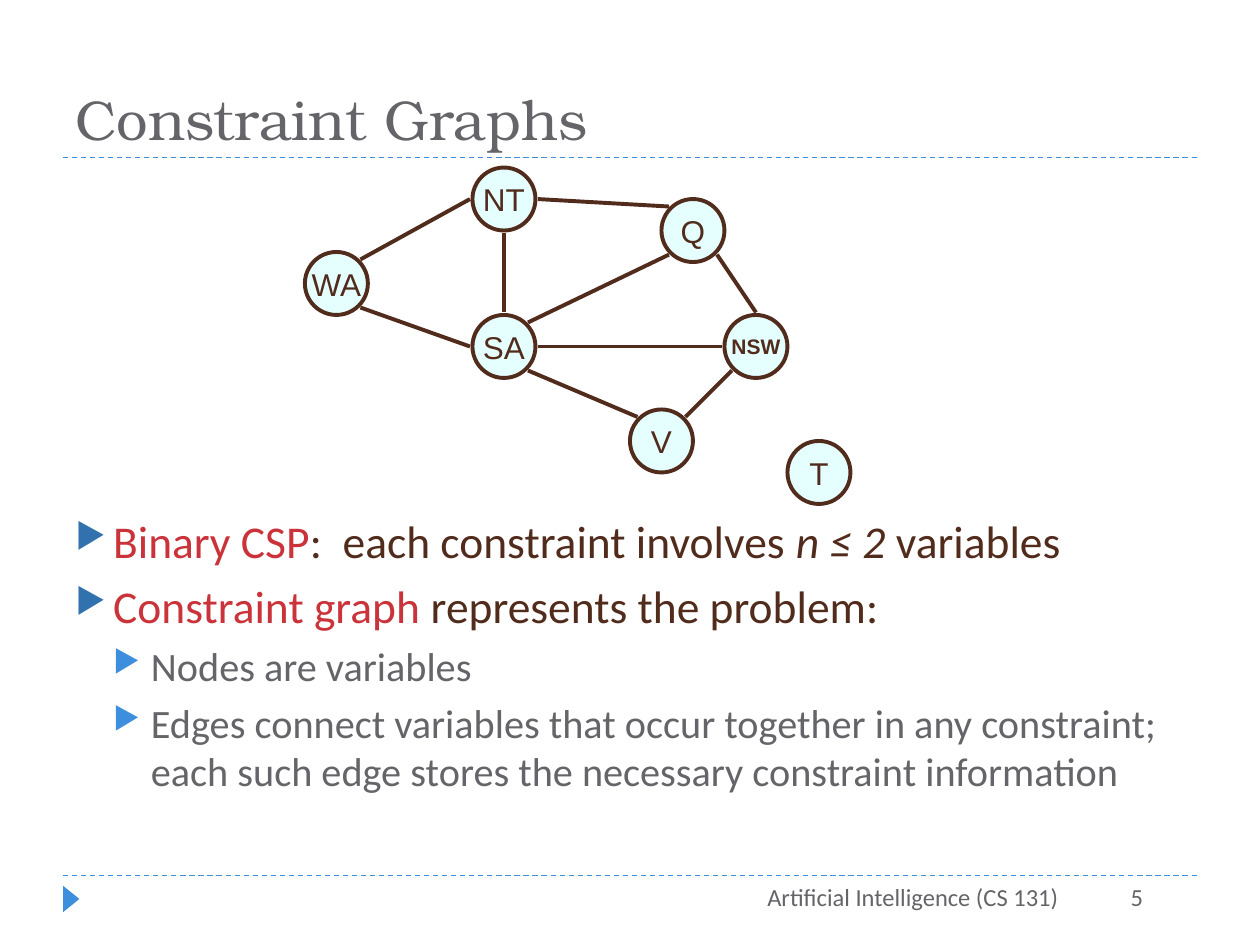
from math import cos, radians, sin

from lxml.etree import SubElement
from pptx import Presentation
from pptx.dml.color import RGBColor
from pptx.enum.dml import MSO_LINE_DASH_STYLE as Dash
from pptx.enum.shapes import MSO_CONNECTOR as Connector, MSO_SHAPE as Shape
from pptx.enum.text import MSO_ANCHOR as Anchor, PP_ALIGN as Align
from pptx.oxml.ns import qn
from pptx.util import Inches, Pt

BROWN, RED, GRAY = "512C1D", "CB333B", "646469"
BLUE, DARK_BLUE, PALE = "3E8EDE", "3071AE", "E5FFFF"

TITLE = "Constraint Graphs"
FOOTER = "Artificial Intelligence (CS 131)"
PAGE_NUMBER = "5"
RULES_Y = (6.95, 1.25)

DIAMETER = 0.5
EDGE_GAP = 0.02
NODES = {
    "WA": (2.67, 2.25),
    "SA": (4, 2.75),
    "NT": (4, 1.58),
    "NSW": (6, 2.75),
    "V": (5.25, 3.5),
    "Q": (5.5, 1.83),
    "T": (6.5, 3.75),
}
SMALL_LABELS = {"NSW"}
ANGLES = {"E": 0, "SE": 45, "S": 90, "SW": 135, "W": 180, "NW": 225, "N": 270, "NE": 315}
EDGES = [
    ("WA", "NE", "NT", "W"),
    ("NT", "E", "Q", "NW"),
    ("WA", "SE", "SA", "W"),
    ("SA", "SE", "V", "NW"),
    ("SA", "E", "NSW", "W"),
    ("Q", "SE", "NSW", "N"),
    ("Q", "SW", "SA", "NE"),
    ("NT", "S", "SA", "N"),
    ("NSW", "SW", "V", "NE"),
]

LEVELS = [
    {"size": 26, "before": 6, "bullet": DARK_BLUE},
    {"size": 23, "before": 5, "bullet": BLUE},
]
POINTS = [
    (0, [("Binary CSP", RED, False), (":  each constraint involves ", BROWN, False),
         ("n ≤ 2 ", BROWN, True), ("variables", BROWN, False)]),
    (0, [("Constraint graph ", RED, False), ("represents the problem:", BROWN, False)]),
    (1, [("Nodes are variables", GRAY, False)]),
    (1, [("Edges connect variables that occur together in any constraint; "
          "each such edge stores the necessary constraint information", GRAY, False)]),
]


def color(value):
    """Turn a hex string into a colour."""
    return RGBColor.from_string(value)


def style(font, name, size, value, bold=False, italic=False):
    """Set the look of a font."""
    font.name, font.size = name, Pt(size)
    font.bold, font.italic = bold, italic
    font.color.rgb = color(value)


def add_line(slide, start, end, value, width, dash=None):
    """Draw a straight line without a shadow."""
    line = slide.shapes.add_connector(Connector.STRAIGHT, *map(Inches, start + end))
    line.line.color.rgb = color(value)
    line.line.width = Pt(width)
    if dash:
        line.line.dash_style = dash
    SubElement(line._element.spPr, qn("a:effectLst"))


def add_text_frame(slide, *box):
    """Add a wrapping text box and return its frame."""
    frame = slide.shapes.add_textbox(*map(Inches, box)).text_frame
    frame.word_wrap = True
    return frame


def add_label(slide, box, text, font, size, align=Align.LEFT, anchor=Anchor.TOP):
    """Add a gray one-line text."""
    frame = add_text_frame(slide, *box)
    frame.text = text
    frame.vertical_anchor = anchor
    frame.paragraphs[0].alignment = align
    style(frame.paragraphs[0].runs[0].font, font, size, GRAY)


def add_shape(slide, kind, box, fill):
    """Add a filled shape without a shadow or an outline."""
    shape = slide.shapes.add_shape(kind, *map(Inches, box))
    shape.shadow.inherit = False
    shape.fill.solid()
    shape.fill.fore_color.rgb = color(fill)
    shape.line.fill.background()
    return shape


def add_node(slide, name, center):
    """Draw one variable of the graph."""
    x, y = (value - DIAMETER / 2 for value in center)
    node = add_shape(slide, Shape.OVAL, (x, y, DIAMETER, DIAMETER), PALE)
    node.line.color.rgb = color(BROWN)
    node.line.width = Pt(2.25)
    frame = node.text_frame
    frame.text = name
    frame.word_wrap = False
    frame.vertical_anchor = Anchor.MIDDLE
    frame.paragraphs[0].alignment = Align.CENTER
    small = name in SMALL_LABELS
    style(frame.paragraphs[0].runs[0].font, "Arial", 12 if small else 18, BROWN, bold=small)


def rim(name, side):
    """Find the point just outside a node on the given side."""
    x, y = NODES[name]
    radius, angle = DIAMETER / 2 + EDGE_GAP, radians(ANGLES[side])
    return x + radius * cos(angle), y + radius * sin(angle)


def add_bullet(paragraph, level, value):
    """Give a paragraph a hanging triangle bullet."""
    properties = paragraph._p.get_or_add_pPr()
    properties.set("marL", str(Inches(0.3 * (level + 1))))
    properties.set("indent", str(Inches(-0.3)))
    SubElement(SubElement(properties, qn("a:buClr")), qn("a:srgbClr"), val=value)
    SubElement(properties, qn("a:buSzPct"), val="76000")
    SubElement(properties, qn("a:buChar"), char="▶")


def add_points(slide):
    """Write the bulleted text."""
    frame = add_text_frame(slide, 0.5, 4.02, 9, 2.73)
    for index, (level, runs) in enumerate(POINTS):
        paragraph = frame.add_paragraph() if index else frame.paragraphs[0]
        look = LEVELS[level]
        paragraph.level = level
        paragraph.space_before = Pt(look["before"])
        add_bullet(paragraph, level, look["bullet"])
        for text, value, italic in runs:
            run = paragraph.add_run()
            run.text = text
            style(run.font, "Calibri", look["size"], value, italic=italic)


def main():
    """Build the slide and save it."""
    presentation = Presentation()
    presentation.slide_width, presentation.slide_height = Inches(10), Inches(7.5)
    slide = presentation.slides.add_slide(presentation.slide_layouts[6])
    for y in RULES_Y:
        add_line(slide, (0.5, y), (9.5, y), BLUE, 0.75, Dash.DASH)
    marker = add_shape(slide, Shape.ISOSCELES_TRIANGLE, (0.46, 7.07, 0.21, 0.13), BLUE)
    marker.rotation = 90
    add_label(slide, (0.5, 0.17, 9, 1.08), TITLE, "TeX Gyre Bonum", 32, anchor=Anchor.BOTTOM)
    add_points(slide)
    add_label(slide, (3.83, 6.95, 4.67, 0.4), FOOTER, "Calibri", 14, Align.RIGHT)
    add_label(slide, (8.08, 6.95, 1.09, 0.4), PAGE_NUMBER, "Calibri", 14, Align.RIGHT)
    for name, center in NODES.items():
        add_node(slide, name, center)
    for first, first_side, second, second_side in EDGES:
        add_line(slide, rim(first, first_side), rim(second, second_side), BROWN, 2.25)
    presentation.save("out.pptx")


if __name__ == "__main__":
    main()
